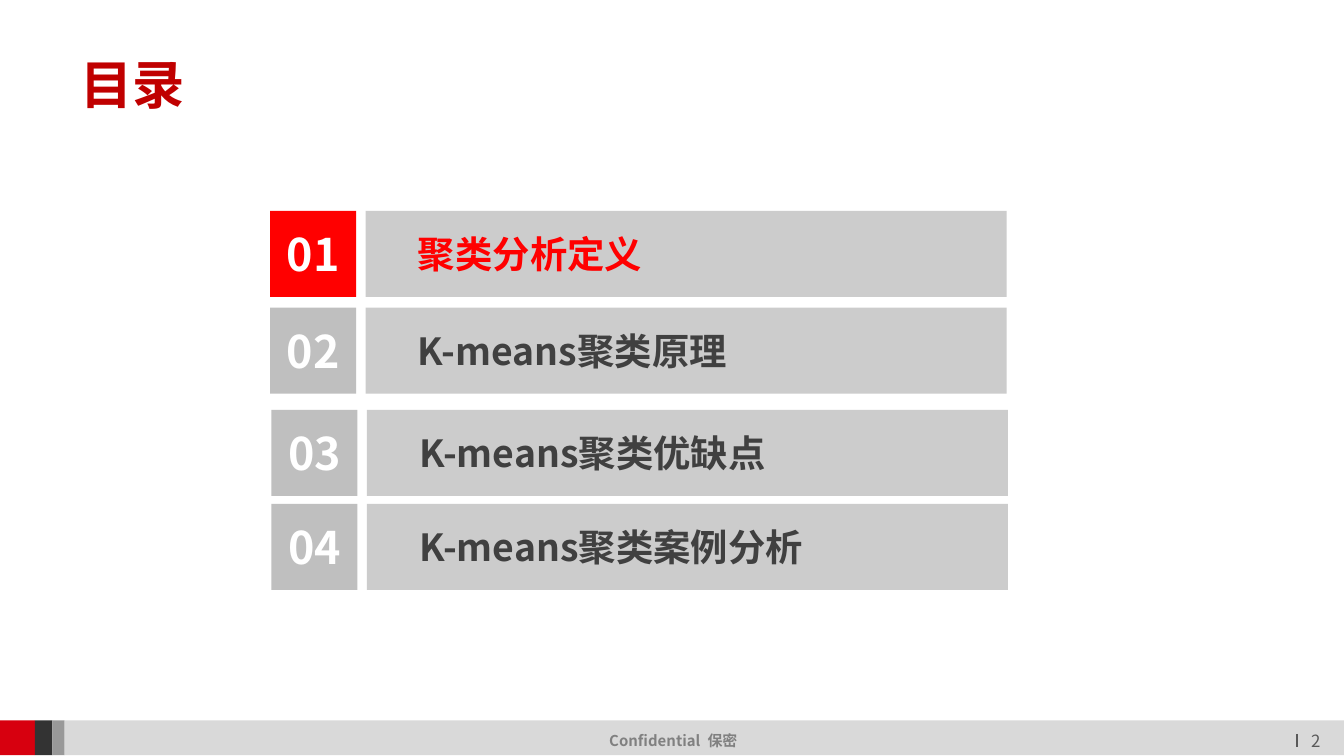
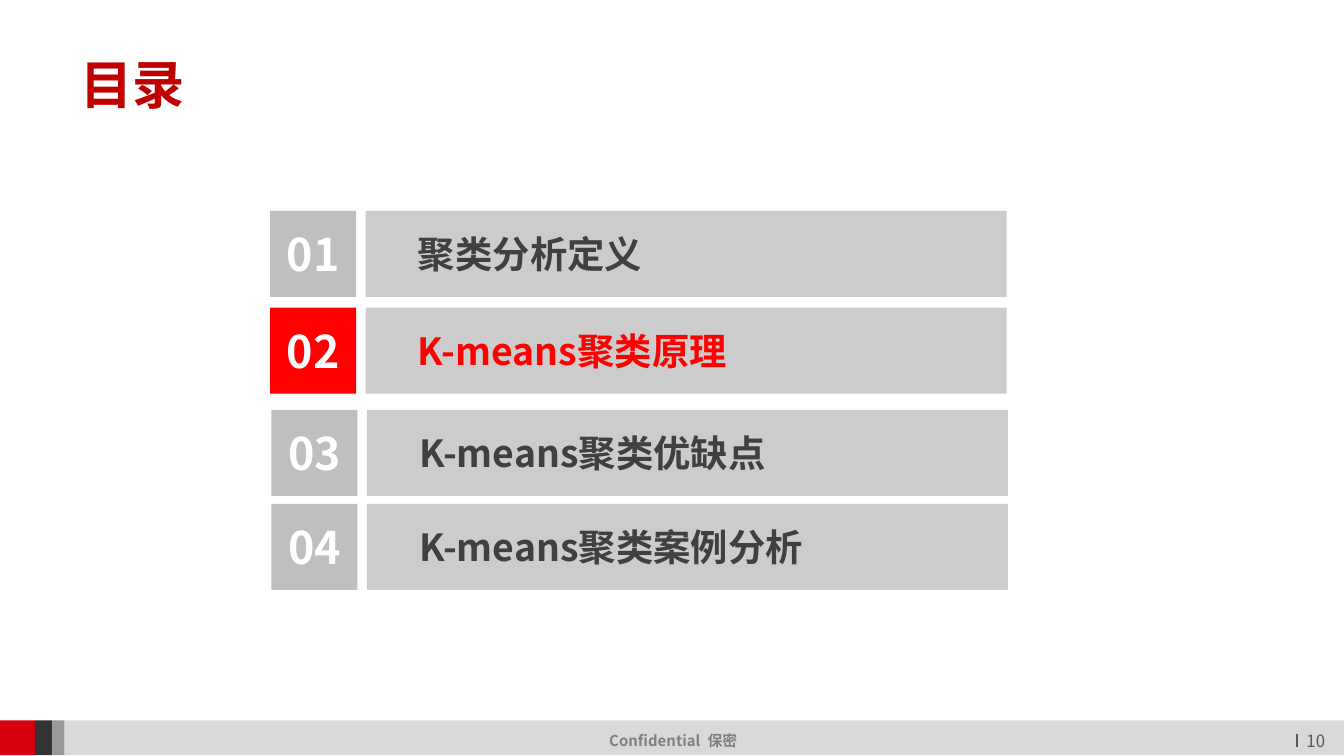
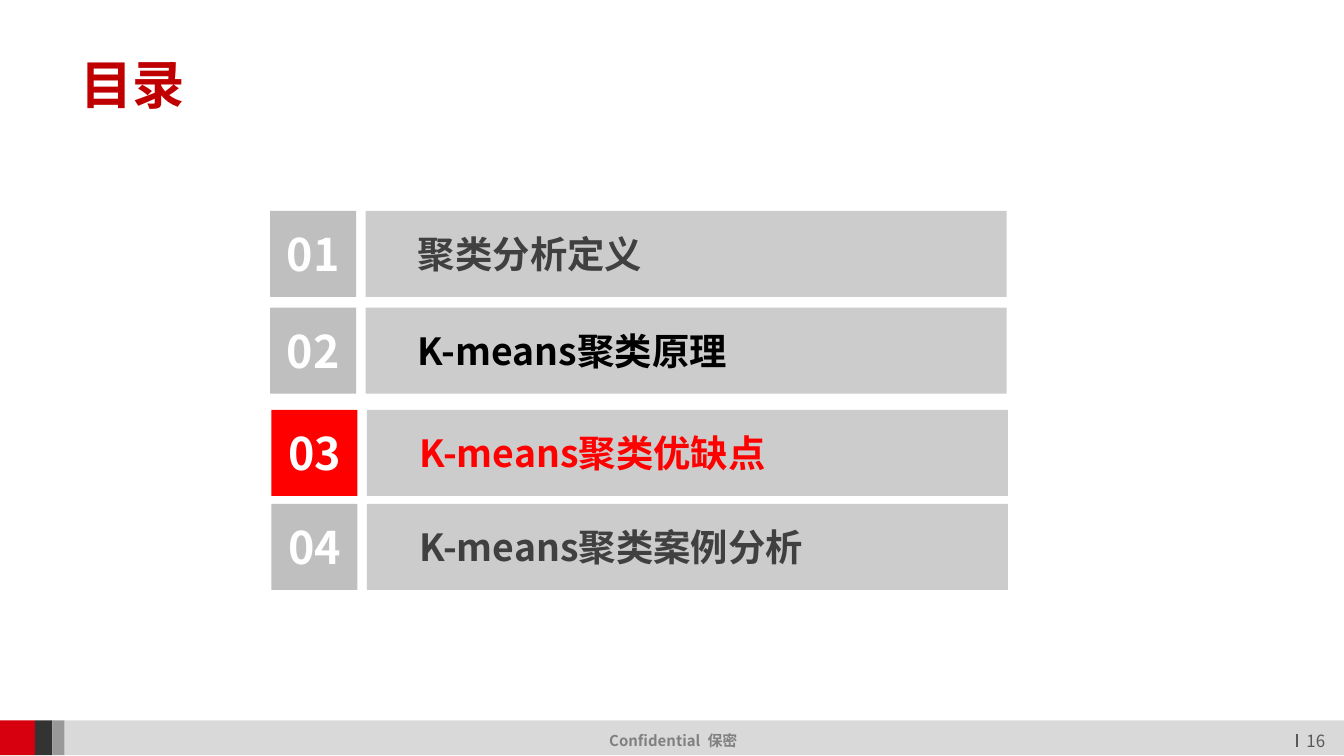
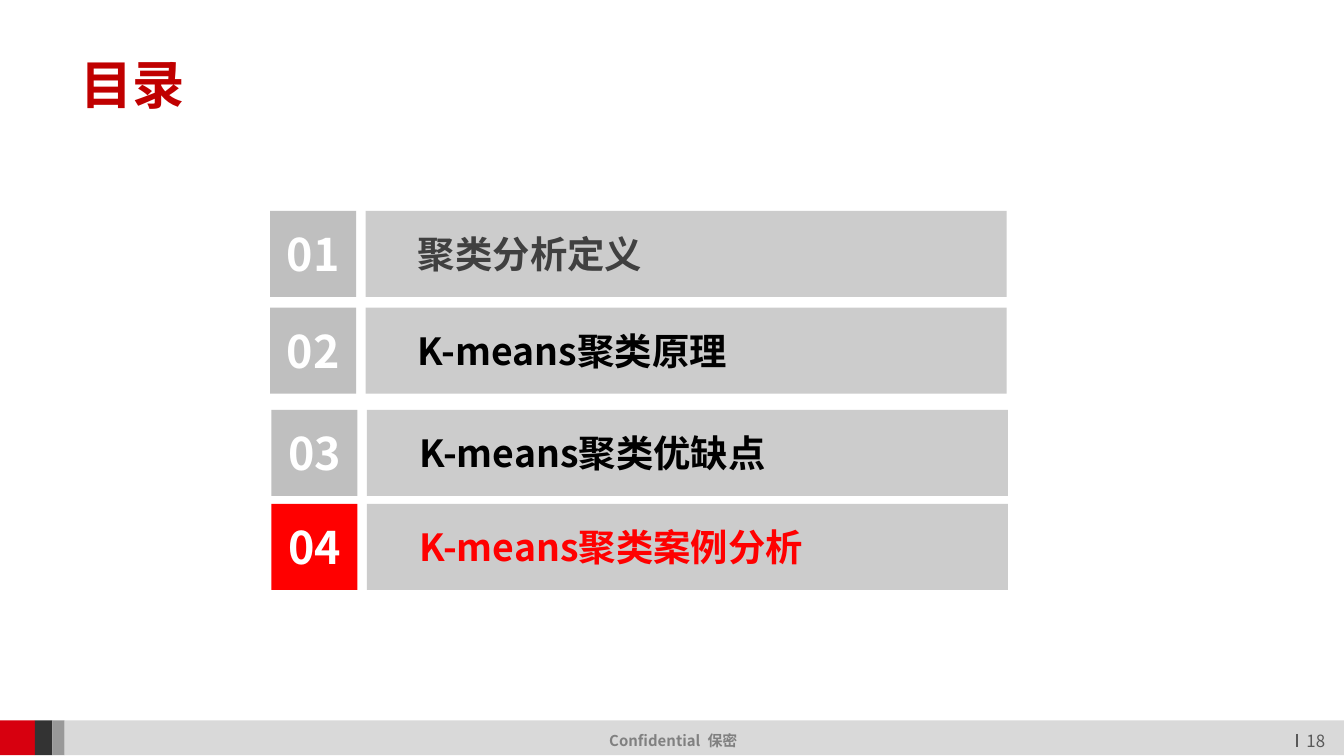
from typing import NamedTuple

import pptx
import pptx.dml.color
import pptx.enum.shapes
import pptx.enum.text
import pptx.oxml.ns
import pptx.util
from lxml import etree

# The grid has 100 square cells across the slide.
WIDE, HIGH = 100, 56.25
CELL = pptx.util.Inches(0.1)

FONT = "Noto Sans CJK SC"
WHITE, BLACK, RED = "FFFFFF", "000000", "FF0000"
TITLE, TEXT, TILE, BAR = "C00000", "404040", "BFBFBF", "CCCCCC"
NOTE, PAGE = "808080", "595959"
LEFT = pptx.enum.text.PP_ALIGN.LEFT
MID = pptx.enum.text.PP_ALIGN.CENTER


class Box(NamedTuple):
    """A place on the grid, in columns and rows."""
    left: float
    top: float
    width: float
    height: float


class Band(NamedTuple):
    width: float
    color: str


class Item(NamedTuple):
    label: str
    left: float
    top: float


BAND_TOP, BAND_HIGH = 53.6, 2.6
BANDS = [Band(2.6, "D7000F"), Band(1.3, "333333"), Band(0.9, "999999"),
         Band(95.2, "D9D9D9")]
SIDE, STEP, LENGTH = 6.4, 7.1, 47.7
ITEMS = [
    Item("聚类分析定义", 20.1, 15.7),
    Item("K-means聚类原理", 20.1, 22.9),
    Item("K-means聚类优缺点", 20.2, 30.5),
    Item("K-means聚类案例分析", 20.2, 37.5),
]
PAGES = [2, 10, 16, 18]


def grid(cells: float) -> int:
    return round(cells * CELL)


def tint(code: str) -> pptx.dml.color.RGBColor:
    return pptx.dml.color.RGBColor.from_string(code)


def write(shape, text: str, *, size: float, color: str, bold: bool = True,
          align=LEFT, inset: float = 1, top: float = 0.5) -> None:
    frame = shape.text_frame
    frame.word_wrap = True
    frame.vertical_anchor = pptx.enum.text.MSO_ANCHOR.MIDDLE
    frame.margin_left, frame.margin_right = grid(inset), grid(1)
    frame.margin_top, frame.margin_bottom = grid(top), grid(0.5)
    line = frame.paragraphs[0]
    line.alignment = align
    run = line.add_run()
    run.text = text
    font = run.font
    font.name, font.size, font.bold = FONT, pptx.util.Pt(size), bold
    font.color.rgb = tint(color)
    east = etree.SubElement(font._element, pptx.oxml.ns.qn("a:ea"))
    east.set("typeface", FONT)


def block(slide, box: Box, color: str):
    shape = slide.shapes.add_shape(
        pptx.enum.shapes.MSO_SHAPE.RECTANGLE, *map(grid, box))
    shape.shadow.inherit = False
    shape.fill.solid()
    shape.fill.fore_color.rgb = tint(color)
    shape.line.fill.background()
    return shape


def label(slide, box: Box, text: str, **form) -> None:
    write(slide.shapes.add_textbox(*map(grid, box)), text, **form)


def rule(slide, left: float, top: float, end: float) -> None:
    """Draw the thin upright line beside the page number."""
    line = slide.shapes.add_connector(
        pptx.enum.shapes.MSO_CONNECTOR.STRAIGHT,
        *map(grid, (left, top, left, end)))
    line.line.color.rgb = tint(PAGE)
    line.line.width = pptx.util.Pt(0.75)
    etree.SubElement(line._element.spPr, pptx.oxml.ns.qn("a:effectLst"))


def frame(slide, page: int) -> None:
    """Draw the footer and title that all slides share."""
    left = 0
    for band in BANDS:
        block(slide, Box(left, BAND_TOP, band.width, BAND_HIGH), band.color)
        left += band.width
    label(slide, Box(43.7, 53.9, 12.8, 2.4), "Confidential  保密",
          size=8, color=NOTE, align=MID)
    label(slide, Box(95.7, 53.8, 4.4, 2.4), str(page),
          size=9, color=PAGE, bold=False, align=MID, top=0.8)
    rule(slide, 96.5, 54.6, 55.6)
    label(slide, Box(5, 3.7, 90, 5), "目录", size=28, color=TITLE)


def shade(index: int, now: int) -> str:
    """Red for the current item, black for those done after the first."""
    if index == now:
        return RED
    return BLACK if 0 < index < now else TEXT


def agenda(slide, now: int) -> None:
    for index, item in enumerate(ITEMS):
        tile = block(slide, Box(item.left, item.top, SIDE, SIDE),
                     RED if index == now else TILE)
        write(tile, f"{index + 1:02}", size=24, color=WHITE, align=MID)
        bar = block(slide, Box(item.left + STEP, item.top, LENGTH, SIDE), BAR)
        write(bar, item.label, size=20, color=shade(index, now), inset=3.9)


def main() -> None:
    deck = pptx.Presentation()
    deck.slide_width, deck.slide_height = grid(WIDE), grid(HIGH)
    for now, page in enumerate(PAGES):
        slide = deck.slides.add_slide(deck.slide_layouts[6])
        frame(slide, page)
        agenda(slide, now)
    deck.save("out.pptx")


if __name__ == "__main__":
    main()
